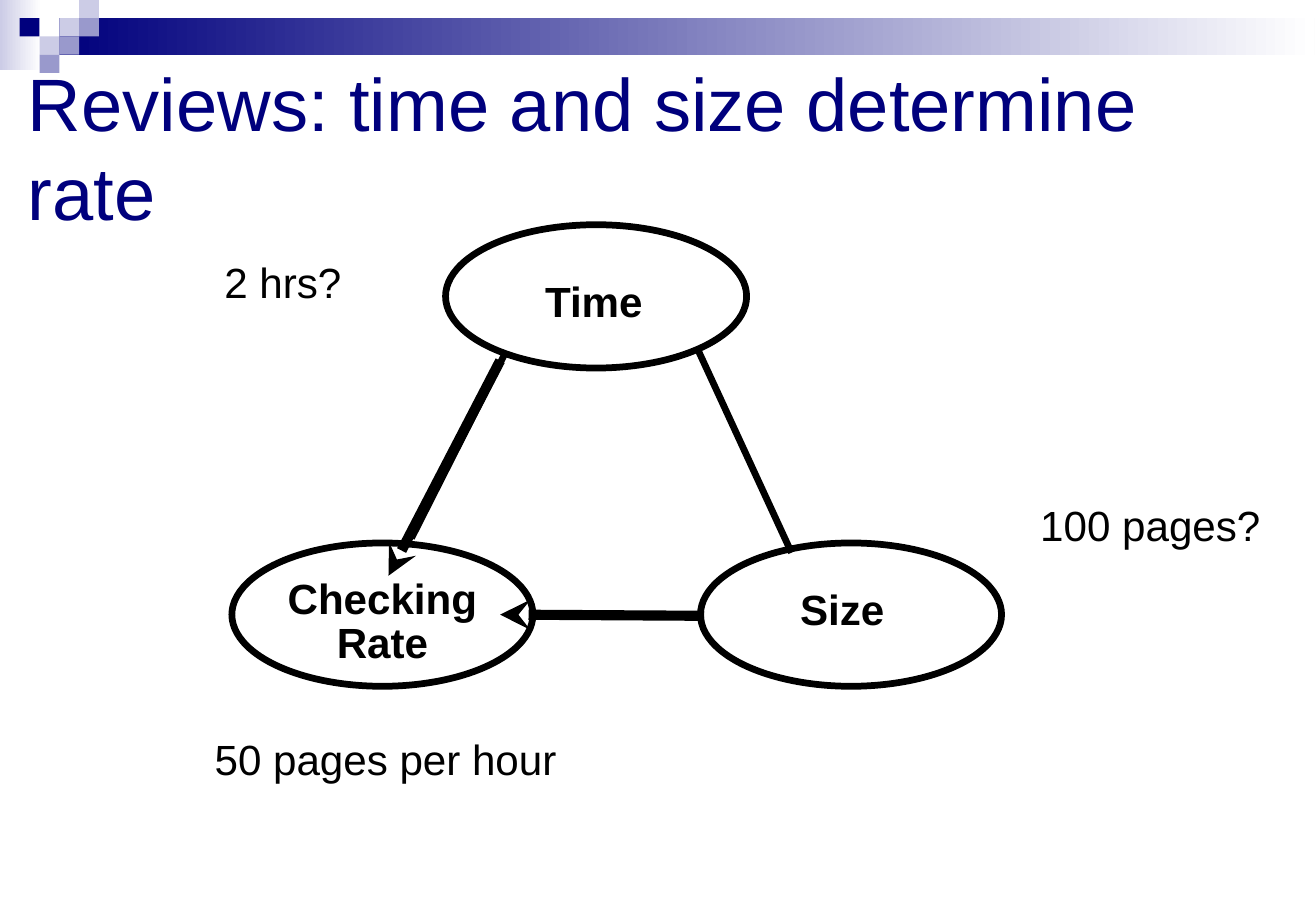
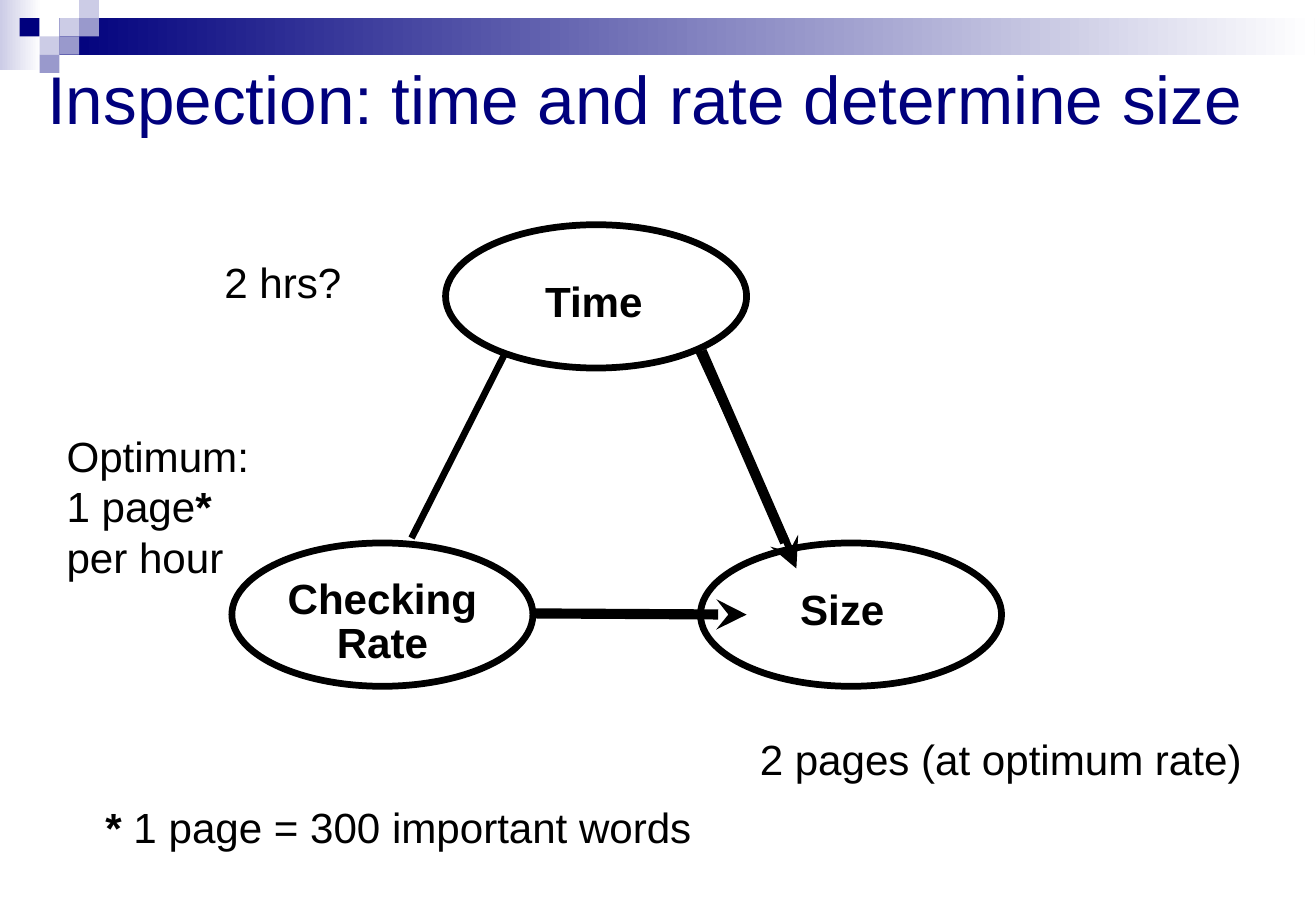
from lxml import etree
from pptx import Presentation
from pptx.dml.color import RGBColor
from pptx.enum import shapes, text
from pptx.oxml import ns
from pptx.util import Inches, Pt

FONT = "Arial"
NAVY, LILAC, LAVENDER = "00007D", "9999CC", "CCCCE6"
BLACK, WHITE = "000000", "FFFFFF"
TILE_W, TILE_H = 0.163, 0.15
TILES = [(3, 1, LAVENDER), (4, 0, LAVENDER), (4, 1, LILAC), (2, 2, LAVENDER),
         (1, 1, NAVY), (3, 2, LILAC), (2, 3, LILAC)]
LABEL_SIZE = 25
LABEL_INSETS, TIGHT_INSETS = (0.1, 0.05), (0.07, 0.03)
OVALS = [(3.67, 1.85), (1.91, 4.47), (5.77, 4.47)]
OVAL_NAMES = [((4.42, 2.29, 0.95, 0.42), ["Time"]),
              ((2.2, 4.74, 1.9, 0.78), ["Checking", "Rate"]),
              ((6.52, 4.83, 0.84, 0.42), ["Size"])]
SIDES = [((4.17, 2.89), (3.39, 4.43)),
         ((4.43, 5.06), (5.74, 5.06)),
         ((6.52, 4.55), (5.74, 2.86))]


def color(value):
    return RGBColor.from_string(value)


def inches(values):
    return [Inches(value) for value in values]


def add_block(slide, box, fill, fade_to=None):
    block = slide.shapes.add_shape(shapes.MSO_SHAPE.RECTANGLE, *inches(box))
    block.shadow.inherit = False
    block.line.fill.background()
    if fade_to:
        block.fill.gradient()
        block.fill.gradient_angle = 0
        for stop, shade in zip(block.fill.gradient_stops, (fill, fade_to)):
            stop.color.rgb = color(shade)
    else:
        block.fill.solid()
        block.fill.fore_color.rgb = color(fill)


def add_oval(slide, left, top):
    oval = slide.shapes.add_shape(shapes.MSO_SHAPE.OVAL, *inches((left, top, 2.48, 1.18)))
    oval.shadow.inherit = False
    oval.fill.background()
    oval.line.color.rgb = color(BLACK)
    oval.line.width = Pt(4)


def add_link(slide, start, end, width=4, arrow=False):
    link = slide.shapes.add_connector(shapes.MSO_CONNECTOR.STRAIGHT, *inches(start + end))
    link.line.color.rgb = color(BLACK)
    link.line.width = Pt(width)
    if arrow:
        etree.SubElement(link.line._get_or_add_ln(), ns.qn("a:tailEnd"), type="stealth")
    etree.SubElement(link._element.spPr, ns.qn("a:effectLst"))


def add_text(slide, box, lines, size=LABEL_SIZE, ink=BLACK, insets=LABEL_INSETS,
             bold=None, centred=False, wrap=False, leading=1.2):
    frame = slide.shapes.add_textbox(*inches(box)).text_frame
    frame.word_wrap = wrap
    side, edge = insets
    frame.margin_left = frame.margin_right = Inches(side)
    frame.margin_top = frame.margin_bottom = Inches(edge)
    for number, line in enumerate(lines):
        paragraph = frame.paragraphs[0] if number == 0 else frame.add_paragraph()
        paragraph.alignment = text.PP_ALIGN.CENTER if centred else text.PP_ALIGN.LEFT
        paragraph.line_spacing = Pt(size * leading)
        paragraph.font.name = FONT
        paragraph.font.size = Pt(size)
        paragraph.font.color.rgb = color(ink)
        paragraph.font.bold = bold
        before, star, after = line.partition("*")
        for part in filter(None, (before, star, after)):
            run = paragraph.add_run()
            run.text = part
            font = run.font
            font.name, font.size = FONT, Pt(size)
            font.color.rgb = color(ink)
            font.bold = True if part == "*" else bold


def add_header(slide, title, box, size):
    add_block(slide, (0, 0, 0.34, 0.58), LAVENDER, WHITE)
    add_block(slide, (0.49, 0.15, 10.34, 0.3), NAVY, WHITE)
    for column, row, shade in TILES:
        add_block(slide, (column * TILE_W, row * TILE_H, TILE_W, TILE_H), shade)
    add_text(slide, box, [title], size, NAVY, TIGHT_INSETS, wrap=True)


def add_triangle(slide, arrows):
    for left, top in OVALS:
        add_oval(slide, left, top)
    for start, end in SIDES:
        add_link(slide, start, end)
    for start, end in arrows:
        add_link(slide, start, end, 6, arrow=True)
    for box, lines in OVAL_NAMES:
        add_text(slide, box, lines, insets=TIGHT_INSETS, bold=True,
                 centred=len(lines) > 1, leading=1.04)
    add_text(slide, (1.75, 2.06, 1.17, 0.52), ["2 hrs?"])


def add_reviews(slide):
    add_header(slide, "Reviews: time and size determine rate", (0.16, 0.44, 10.4, 1.52), 44)
    add_triangle(slide, [((4.12, 2.97), (3.2, 4.74)), ((5.8, 5.07), (4.12, 5.06))])
    add_text(slide, (8.47, 4.06, 2.02, 0.52), ["100 pages?"])
    add_text(slide, (1.67, 5.99, 3.02, 0.52), ["50 pages per hour"])


def add_inspection(slide):
    add_header(slide, "Inspection: time and rate determine size", (0.32, 0.44, 10, 0.72), 40)
    add_triangle(slide, [((5.78, 2.89), (6.56, 4.68)), ((4.39, 5.05), (6.15, 5.06))])
    add_text(slide, (0.45, 3.49, 1.71, 1.35), ["Optimum:", "1 page*", "per hour"])
    add_text(slide, (6.16, 5.99, 4.18, 0.52), ["2 pages (at optimum rate)"])
    add_text(slide, (0.77, 6.55, 5.23, 0.52), ["* 1 page = 300 important words"], wrap=True)


def main():
    deck = Presentation()
    deck.slide_width, deck.slide_height = Inches(10.84), Inches(7.5)
    for build in (add_reviews, add_inspection):
        build(deck.slides.add_slide(deck.slide_layouts[6]))
    deck.save("out.pptx")


main()
